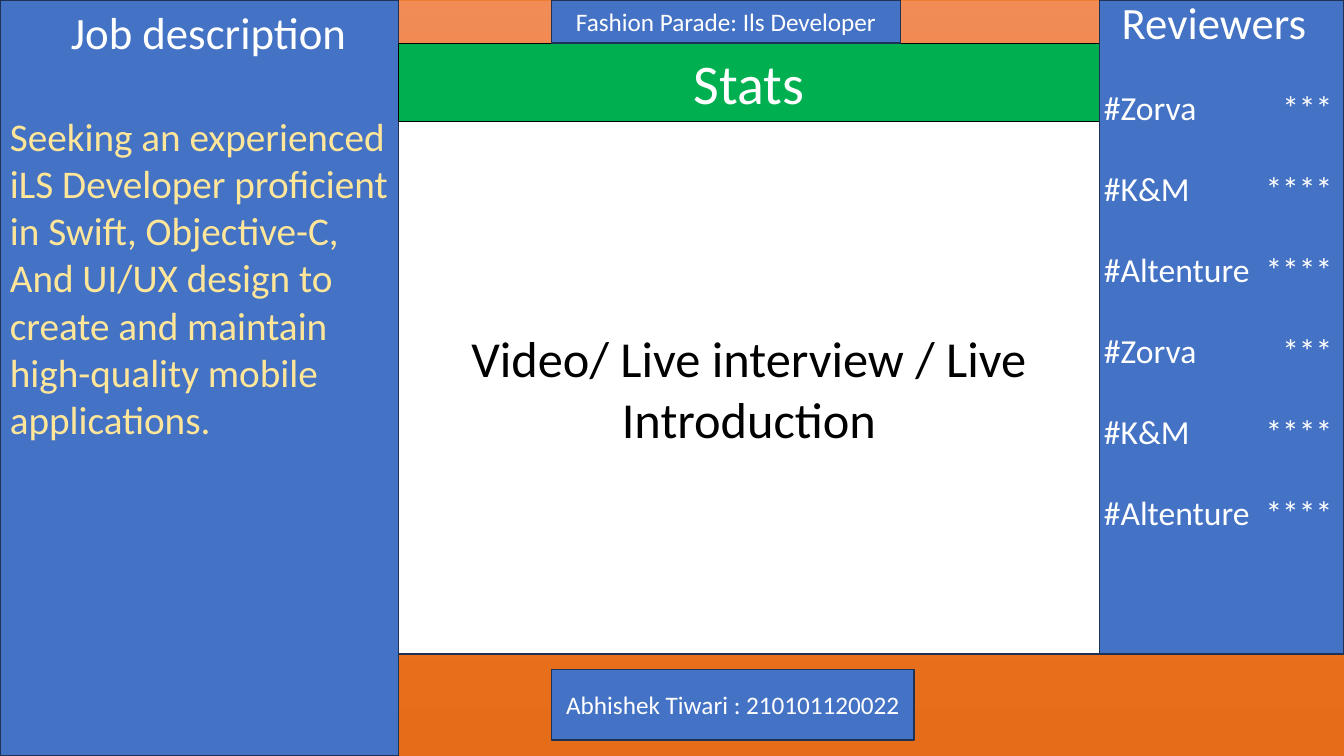
from copy import deepcopy

from lxml import etree
from pptx import Presentation
from pptx import util as u
from pptx.dml.color import RGBColor
from pptx.enum import shapes, text
from pptx.oxml import ns

Cm, Pt = u.Cm, u.Pt
ALIGN = text.PP_ALIGN
FONT = "Calibri"
WHITE = RGBColor(0xFF, 0xFF, 0xFF)
BLACK = RGBColor(0x00, 0x00, 0x00)
BLUE = RGBColor(0x44, 0x72, 0xC4)
NAVY = RGBColor(0x1E, 0x32, 0x56)
GREEN = RGBColor(0x00, 0xB0, 0x50)
CREAM = RGBColor(0xFF, 0xE6, 0x99)
ORANGE = RGBColor(0xED, 0x7D, 0x31)
BACKDROP_STOPS = [
    (0, RGBColor(0xF1, 0x8C, 0x57)),
    (0.5, RGBColor(0xF6, 0x7B, 0x28)),
    (1, RGBColor(0xE5, 0x6C, 0x19)),
]

WIDTH, HEIGHT = Cm(33.87), Cm(19.05)
LEFT_EDGE, RIGHT_EDGE = Cm(10.04), Cm(27.71)
FLOOR = Cm(16.48)
BADGE_LEFT = Cm(13.9)

JOB_LINES = [
    "Seeking an experienced",
    "iLS Developer proficient",
    "in Swift, Objective-C,",
    "And UI/UX design to",
    "create and maintain",
    "high-quality mobile",
    "applications.",
]
REVIEWS = [("#Zorva", "***"), ("#K&M", "****"), ("#Altenture", "****")] * 2


def write(paragraph, words, size, color, align=ALIGN.CENTER):
    paragraph.text = words
    paragraph.alignment = align
    font = paragraph.font
    font.name, font.size, font.color.rgb = FONT, Pt(size), color


def add_panel(slide, left, top, width, height, fill=BLUE):
    panel = slide.shapes.add_shape(
        shapes.MSO_SHAPE.RECTANGLE, left, top, width, height)
    panel.shadow.inherit = False
    panel.fill.solid()
    panel.fill.fore_color.rgb = fill
    panel.line.color.rgb = NAVY
    panel.line.width = Pt(1)
    return panel


def add_label(slide, left, top, width, height, words, size,
              fill=BLUE, color=WHITE):
    panel = add_panel(slide, left, top, width, height, fill)
    panel.text_frame.vertical_anchor = text.MSO_ANCHOR.MIDDLE
    write(panel.text_frame.paragraphs[0], words, size, color)


def add_text_frame(slide, left, top, width, height, wrap=True):
    frame = slide.shapes.add_textbox(left, top, width, height).text_frame
    frame.word_wrap = wrap
    frame.auto_size = text.MSO_AUTO_SIZE.SHAPE_TO_FIT_TEXT
    return frame


def add_backdrop(slide, left, top, width, height):
    backdrop = add_panel(slide, left, top, width, height)
    backdrop.line.color.rgb = ORANGE
    backdrop.line.width = Pt(0.5)
    backdrop.fill.gradient()
    backdrop.fill.gradient_angle = 270
    # A new gradient has two stops; add the third
    stop_list = backdrop.element.find(".//" + ns.qn("a:gsLst"))
    stop_list.append(deepcopy(stop_list[-1]))
    for stop, (position, color) in zip(backdrop.fill.gradient_stops,
                                       BACKDROP_STOPS):
        stop.position = position
        stop.color.rgb = color


def add_job_description(slide, left, top, width, height):
    add_panel(slide, left, top, width, height)
    frame = add_text_frame(slide, left, top, width + Cm(0.48), Cm(11.38))
    heading = frame.paragraphs[0]
    write(heading, "Job description", 32, WHITE)
    heading.space_after = Pt(38.5)
    for line in JOB_LINES:
        write(frame.add_paragraph(), line, 28, CREAM, ALIGN.JUSTIFY)


def place_title(slide, left, top, width, height):
    title = slide.shapes.title
    title.left, title.top, title.width, title.height = left, top, width, height
    title.fill.solid()
    title.fill.fore_color.rgb = GREEN
    title.line.color.rgb = BLACK
    title.line.width = Pt(1)
    title.text_frame.vertical_anchor = text.MSO_ANCHOR.MIDDLE
    write(title.text_frame.paragraphs[0], "Stats", 40, WHITE)
    # Bring the title in front of the backdrop
    title.element.getparent().append(title.element)


def add_stage(slide, left, top, width, height):
    bar_height = Cm(1.98)
    add_label(slide, left, top + bar_height, width, height - bar_height,
              "Video/ Live interview / Live Introduction", 36, WHITE, BLACK)
    place_title(slide, left, top, width, bar_height)


def add_right_tab(paragraph, position):
    properties = paragraph._p.get_or_add_pPr()
    tabs = properties.makeelement(ns.qn("a:tabLst"))
    etree.SubElement(tabs, ns.qn("a:tab"), pos=str(position), algn="r")
    properties.insert_element_before(tabs, "a:defRPr", "a:extLst")


def add_reviewers(slide, left, top, width, height):
    add_panel(slide, left, top, width, height)
    heading = add_text_frame(slide, left + Cm(0.28), top - Cm(0.27),
                             Cm(5.21), Cm(1.63), wrap=False)
    write(heading.paragraphs[0], "Reviewers", 32, WHITE)
    # Names on the left, stars at a right tab
    frame = add_text_frame(slide, left - Cm(0.14), top + Cm(2.07),
                           width + Cm(0.32), Cm(12.57))
    for index, (name, stars) in enumerate(REVIEWS):
        paragraph = frame.add_paragraph() if index else frame.paragraphs[0]
        write(paragraph, f"{name}\t{stars}", 24, WHITE, ALIGN.LEFT)
        add_right_tab(paragraph, Cm(5.76))
        if index < len(REVIEWS) - 1:
            paragraph.space_after = Pt(29)


def build_slide(presentation):
    slide = presentation.slides.add_slide(presentation.slide_layouts[5])
    header_height = Cm(1.09)
    add_backdrop(slide, 0, 0, WIDTH, HEIGHT)
    add_job_description(slide, 0, 0, LEFT_EDGE, HEIGHT)
    add_stage(slide, LEFT_EDGE, header_height, RIGHT_EDGE - LEFT_EDGE,
              FLOOR - header_height)
    # Header and footer badges
    add_label(slide, BADGE_LEFT, 0, Cm(8.79), header_height,
              "Fashion Parade: Ils Developer", 18)
    add_reviewers(slide, RIGHT_EDGE, 0, WIDTH - RIGHT_EDGE, FLOOR)
    add_label(slide, BADGE_LEFT, Cm(16.87), Cm(9.14), Cm(1.78),
              "Abhishek Tiwari : 210101120022", 18)


def main():
    presentation = Presentation()
    presentation.slide_width, presentation.slide_height = WIDTH, HEIGHT
    build_slide(presentation)
    presentation.save("out.pptx")


if __name__ == "__main__":
    main()
